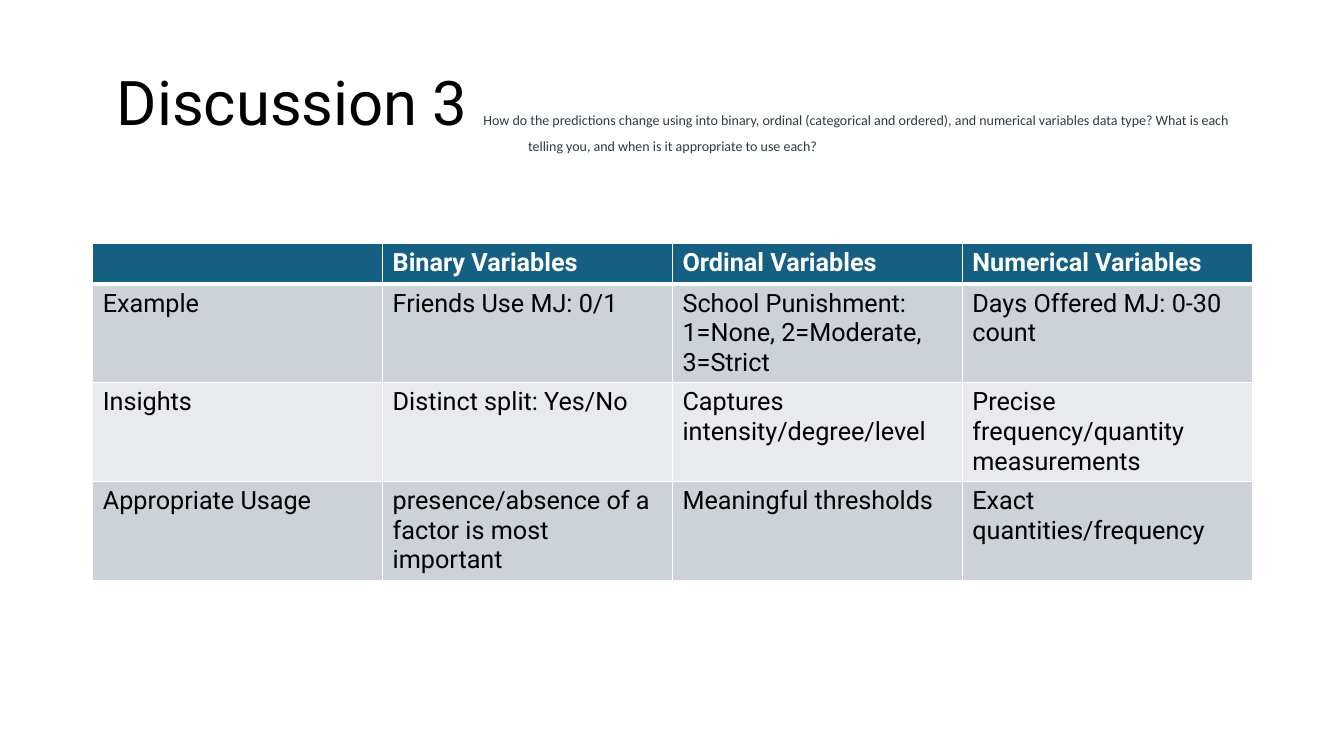
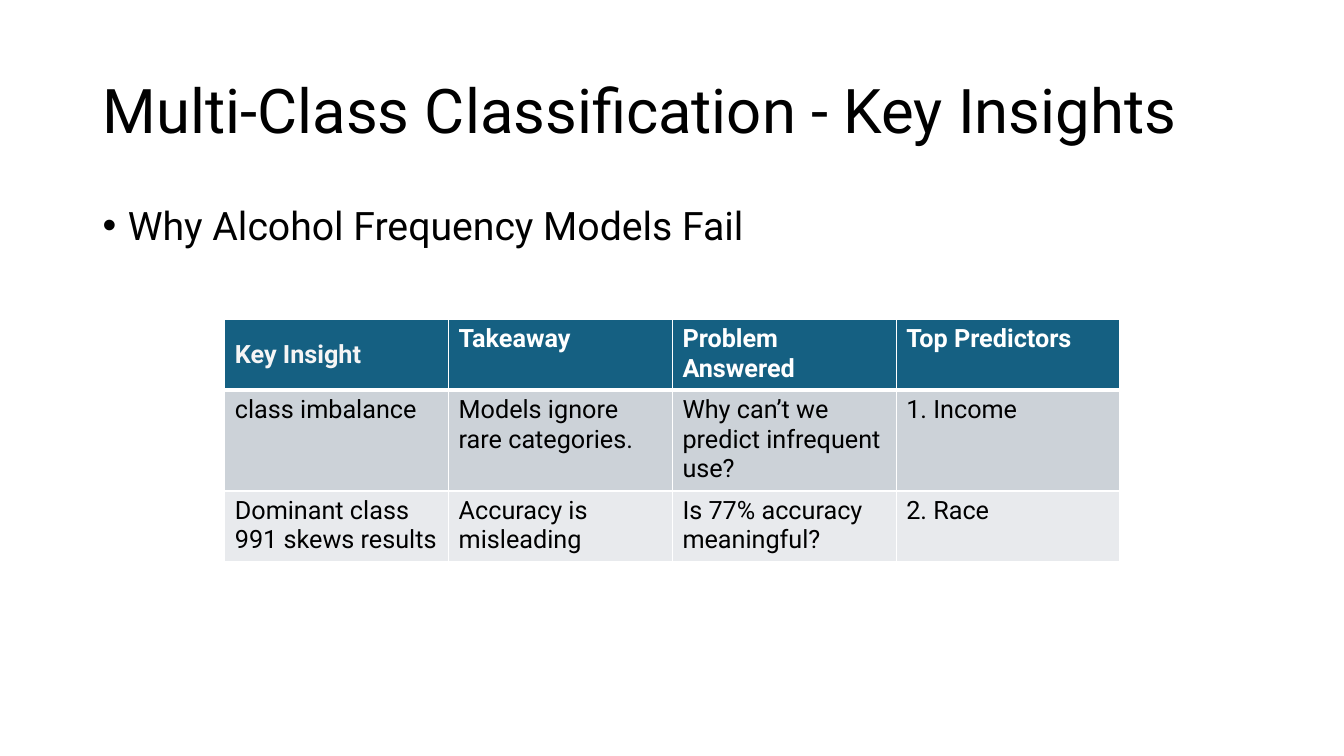
from dataclasses import dataclass

from lxml import etree
from pptx import Presentation
from pptx import util as u
from pptx.dml.color import RGBColor
from pptx.enum import text
from pptx.oxml.ns import qn

# Content
DISCUSSION = {
    "title": "Discussion 3 ",
    "question": "How do the predictions change using into binary, ordinal (categorical and "
                "ordered), and numerical variables data type? What is each telling you, and "
                "when is it appropriate to use each?",
    "rows": [
        ("", "Binary Variables", "Ordinal Variables", "Numerical Variables"),
        ("Example", "Friends Use MJ: 0/1",
         "School Punishment: 1=None, 2=Moderate, 3=Strict", "Days Offered MJ: 0-30 count"),
        ("Insights", "Distinct split: Yes/No", "Captures intensity/degree/level",
         "Precise frequency/quantity measurements"),
        ("Appropriate Usage", "presence/absence of a factor is most important",
         "Meaningful thresholds", "Exact quantities/frequency"),
    ],
}
INSIGHTS = {
    "title": "Multi-Class Classification - Key Insights",
    "bullet": "Why Alcohol Frequency Models Fail",
    "rows": [
        ("Key Insight", "Takeaway", "Problem Answered", "Top Predictors"),
        ("class imbalance", "Models ignore rare categories.",
         "Why can’t we predict infrequent use?", "1. Income"),
        ("Dominant class 991 skews results", "Accuracy is misleading",
         "Is 77% accuracy meaningful?", "2. Race"),
    ],
}


@dataclass(frozen=True)
class Theme:
    font: str = "Roboto"
    note_font: str = "Calibri"
    title_size: int = 44
    bullet_size: int = 28
    table_size: int = 18
    note_size: int = 10
    ink: str = "000000"
    note: str = "2D3B45"
    white: str = "FFFFFF"
    off_white: str = "F5F5F5"
    header: str = "156082"
    bands: tuple = ("CCD2D8", "E8EAED")
    line_spacing: float = 0.9
    rule: int = 1
    header_rule: int = 3


THEME = Theme()

# Geometry: 100 px to the inch
SLIDE = (1333, 750)
TITLE = (92, 40, 1150, 145)
BULLET = (92, 200, 1150, 70)
INDENT = 25


def px(length):
    return u.Emu(length * 9144)


def add_run(paragraph, words, size, color=THEME.ink, font=THEME.font, bold=False):
    run = paragraph.add_run()
    run.text = words
    run.font.name = font
    run.font.size = u.Pt(size)
    run.font.bold = bold
    run.font.color.rgb = RGBColor.from_string(color)


def add_titled_slide(presentation, title, alignment):
    """Add a slide with the shared title style; return it and its title paragraph."""
    slide = presentation.slides.add_slide(presentation.slide_layouts[5])
    shape = slide.shapes.title
    shape.left, shape.top, shape.width, shape.height = map(px, TITLE)
    frame = shape.text_frame
    frame.auto_size = text.MSO_AUTO_SIZE.NONE
    frame.vertical_anchor = text.MSO_ANCHOR.MIDDLE
    paragraph = frame.paragraphs[0]
    paragraph.alignment = alignment
    paragraph.line_spacing = THEME.line_spacing
    add_run(paragraph, title, THEME.title_size)
    return slide, paragraph


def add_bullet(slide, words):
    frame = slide.shapes.add_textbox(*map(px, BULLET)).text_frame
    frame.word_wrap = True
    paragraph = frame.paragraphs[0]
    paragraph.line_spacing = THEME.line_spacing
    paragraph.space_before = u.Pt(10)
    add_run(paragraph, words, THEME.bullet_size)
    properties = paragraph._p.get_or_add_pPr()
    properties.set("marL", str(px(INDENT)))
    properties.set("indent", str(-px(INDENT)))
    etree.SubElement(properties, qn("a:buFont"), typeface="Arial")
    etree.SubElement(properties, qn("a:buChar"), char="•")


def set_borders(cell, top, bottom):
    properties = cell._tc.get_or_add_tcPr()
    widths = {"lnL": THEME.rule, "lnR": THEME.rule, "lnT": top, "lnB": bottom}
    for side, width in widths.items():
        line = etree.SubElement(properties, qn(f"a:{side}"), w=str(u.Pt(width)))
        fill = etree.SubElement(line, qn("a:solidFill"))
        etree.SubElement(fill, qn("a:srgbClr"), val=THEME.white)


def add_grid(slide, rows, left, top, column_width, row_heights):
    """Add a table with a dark header row and alternating body rows."""
    columns = len(rows[0])
    table = slide.shapes.add_table(
        len(rows), columns, px(left), px(top),
        px(column_width * columns), px(sum(row_heights))).table
    table.horz_banding = False
    for column in table.columns:
        column.width = px(column_width)
    for index, (row, height) in enumerate(zip(rows, row_heights)):
        table.rows[index].height = px(height)
        is_header = index == 0
        fill = THEME.header if is_header else THEME.bands[(index - 1) % 2]
        for position, words in enumerate(row):
            cell = table.cell(index, position)
            # Borders go before the fill in the cell properties
            set_borders(cell,
                        THEME.header_rule if index == 1 else THEME.rule,
                        THEME.header_rule if is_header else THEME.rule)
            cell.fill.solid()
            cell.fill.fore_color.rgb = RGBColor.from_string(fill)
            if words:
                add_run(cell.text_frame.paragraphs[0], words, THEME.table_size,
                        THEME.white if is_header else THEME.ink, bold=is_header)
    return table


def build_discussion(presentation):
    slide, paragraph = add_titled_slide(
        presentation, DISCUSSION["title"], text.PP_ALIGN.CENTER)
    add_run(paragraph, DISCUSSION["question"], THEME.note_size, THEME.note, THEME.note_font)
    add_grid(slide, DISCUSSION["rows"], 92, 241, 287.5, (39, 98, 98, 97))


def build_insights(presentation):
    slide, _ = add_titled_slide(presentation, INSIGHTS["title"], text.PP_ALIGN.LEFT)
    add_bullet(slide, INSIGHTS["bullet"])
    table = add_grid(slide, INSIGHTS["rows"], 223, 317, 222, (67, 98, 68))
    # The first heading is centred vertically, in a softer white
    heading = table.cell(0, 0)
    heading.vertical_anchor = text.MSO_ANCHOR.MIDDLE
    heading.margin_left, heading.margin_right = px(10), px(11)
    heading.margin_top = heading.margin_bottom = px(6)
    run = heading.text_frame.paragraphs[0].runs[0]
    run.font.color.rgb = RGBColor.from_string(THEME.off_white)


def main():
    presentation = Presentation()
    presentation.slide_width, presentation.slide_height = map(px, SLIDE)
    build_discussion(presentation)
    build_insights(presentation)
    presentation.save("out.pptx")


if __name__ == "__main__":
    main()
